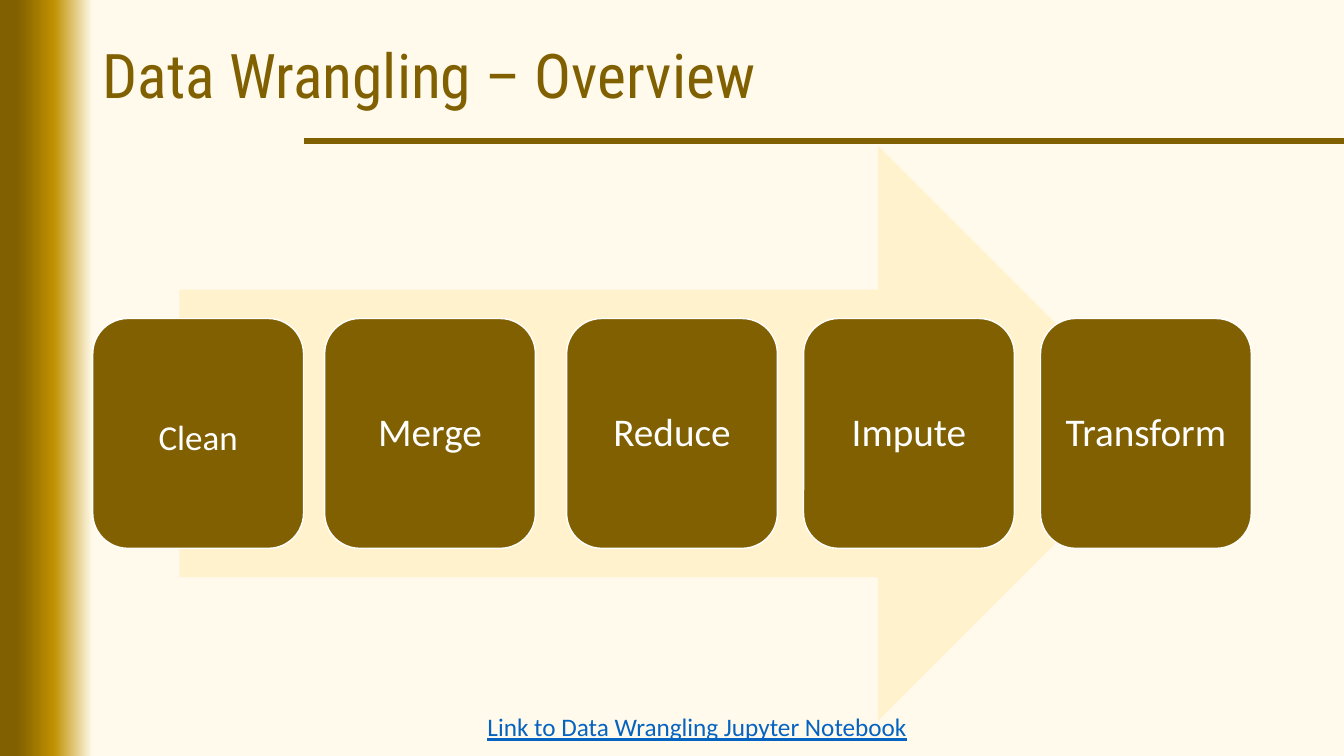
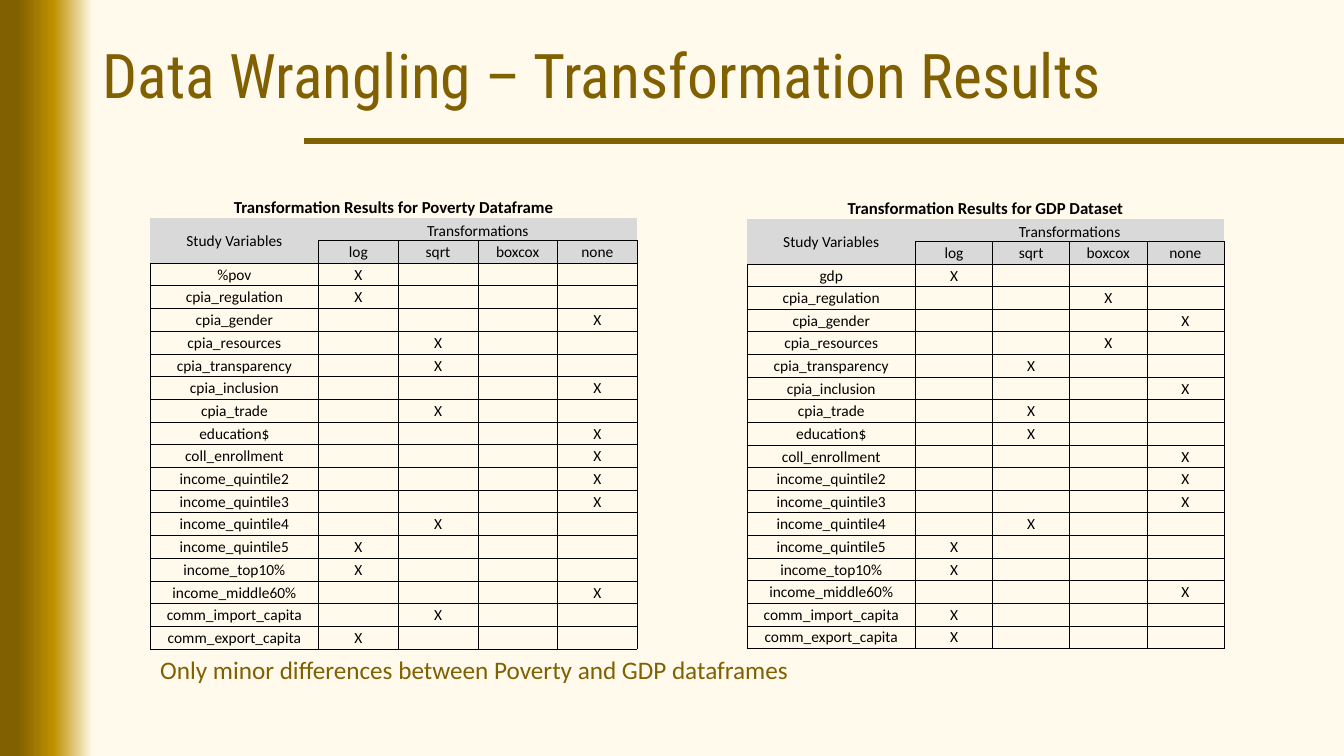
"""Build two data wrangling slides: a process overview and the transformation results."""
from dataclasses import dataclass

from lxml import etree
from pptx import Presentation
from pptx.dml.color import RGBColor
from pptx.enum.shapes import MSO_CONNECTOR, MSO_SHAPE
from pptx.enum.text import MSO_ANCHOR, PP_ALIGN
from pptx.oxml.ns import qn
from pptx.util import Inches, Pt

RECT, ROUNDED, ARROW = MSO_SHAPE.RECTANGLE, MSO_SHAPE.ROUNDED_RECTANGLE, MSO_SHAPE.RIGHT_ARROW
STRAIGHT = MSO_CONNECTOR.STRAIGHT
LEFT, CENTER = PP_ALIGN.LEFT, PP_ALIGN.CENTER
MIDDLE, BOTTOM = MSO_ANCHOR.MIDDLE, MSO_ANCHOR.BOTTOM


@dataclass(frozen=True)
class Theme:
    background: str = "FFFAEB"
    accent: str = "806000"
    gold: str = "BF9000"
    pale: str = "FFF2CC"
    white: str = "FFFFFF"
    black: str = "000000"
    header: str = "D9D9D9"
    link: str = "0563C1"
    title_font: str = "Roboto Condensed"
    body_font: str = "Calibri"
    title_size: float = 44
    note_size: float = 18
    caption_size: float = 12
    cell_size: float = 11


T = Theme()

OVERVIEW_TITLE = "Data Wrangling – Overview"
STEPS = [
    ("Clean", 0.92, 25, 0.12),
    ("Merge", 3.22, 28, 0),
    ("Reduce", 5.62, 28, 0),
    ("Impute", 7.97, 28, 0),
    ("Transform", 10.32, 28, 0),
]
LINK_TEXT = "Link to Data Wrangling Jupyter Notebook"

RESULTS_TITLE = "Data Wrangling – Transformation Results"
METHODS = ["log", "sqrt", "boxcox", "none"]
SHARED_VARIABLES = [
    ("cpia_regulation", "log", "boxcox"),
    ("cpia_gender", "none", "none"),
    ("cpia_resources", "sqrt", "boxcox"),
    ("cpia_transparency", "sqrt", "sqrt"),
    ("cpia_inclusion", "none", "none"),
    ("cpia_trade", "sqrt", "sqrt"),
    ("education$", "none", "sqrt"),
    ("coll_enrollment", "none", "none"),
    ("income_quintile2", "none", "none"),
    ("income_quintile3", "none", "none"),
    ("income_quintile4", "sqrt", "sqrt"),
    ("income_quintile5", "log", "log"),
    ("income_top10%", "log", "log"),
    ("income_middle60%", "none", "none"),
    ("comm_import_capita", "sqrt", "log"),
    ("comm_export_capita", "log", "log"),
]
POVERTY = [("%pov", "log")] + [(name, pov) for name, pov, gdp in SHARED_VARIABLES]
GDP = [("gdp", "log")] + [(name, gdp) for name, pov, gdp in SHARED_VARIABLES]
TABLES = [
    ("Transformation Results for Poverty Dataframe", POVERTY, 1.49, 4.83, 0.23),
    ("Transformation Results for GDP Dataset", GDP, 7.41, 4.73, 0.24),
]
CONCLUSION = "Only minor differences between Poverty and GDP dataframes"


def rgb(color):
    return RGBColor.from_string(color)


def write(tf, text, size, color, align=LEFT, font=T.body_font, bold=False, underline=False):
    tf.text = text
    p = tf.paragraphs[0]
    p.alignment = align
    for r in p.runs:
        r.font.name, r.font.size = font, Pt(size)
        r.font.bold, r.font.underline = bold, underline
        r.font.color.rgb = rgb(color)
    return p


def add_solid(slide, kind, box, fill, line=None):
    sp = slide.shapes.add_shape(kind, *map(Inches, box))
    sp.shadow.inherit = False
    sp.fill.solid()
    sp.fill.fore_color.rgb = rgb(fill)
    if line:
        sp.line.color.rgb = rgb(line)
        sp.line.width = Pt(1)
    else:
        sp.line.fill.background()
    return sp


def add_text(slide, box, text, **style):
    tf = slide.shapes.add_textbox(*map(Inches, box)).text_frame
    tf.word_wrap = True
    write(tf, text, T.note_size, **style)


def decorate_master(prs, slide):
    master = prs.slide_master
    master.background.fill.solid()
    master.background.fill.fore_color.rgb = rgb(T.background)

    band = add_solid(slide, RECT, (0, 0, 0.92, 7.5), T.accent)
    band.fill.gradient()
    band.fill.gradient_angle = 0
    stops = band.element.spPr.find(qn("a:gradFill")).find(qn("a:gsLst"))
    for stop in list(stops):
        stops.remove(stop)
    for percent, color in [(18, T.accent), (58, T.gold), (100, T.background)]:
        stop = etree.SubElement(stops, qn("a:gs"), pos=str(percent * 1000))
        etree.SubElement(stop, qn("a:srgbClr"), val=color)

    rule = slide.shapes.add_connector(STRAIGHT, Inches(3.02), Inches(1.4), Inches(13.33), Inches(1.4))
    rule.line.color.rgb = rgb(T.accent)
    rule.line.width = Pt(4.5)
    etree.SubElement(rule.element.spPr, qn("a:effectLst"))

    for index, sp in enumerate((band, rule), start=2):
        master.shapes.element.insert(index, sp.element)


def add_titled_slide(prs, layout, title):
    slide = prs.slides.add_slide(layout)
    sp = slide.shapes.title
    sp.left, sp.top, sp.width, sp.height = map(Inches, (0.92, 0.32, 11.5, 0.92))
    sp.text_frame.vertical_anchor = MIDDLE
    p = write(sp.text_frame, title, T.title_size, T.accent, font=T.title_font)
    p.line_spacing = 0.9
    return slide


def set_borders(cell, sides):
    props = cell._tc.get_or_add_tcPr()
    for index, side in enumerate("LRTB"):
        ln = etree.Element(qn(f"a:ln{side}"), w=str(Pt(0.5)))
        if side in sides:
            fill = etree.SubElement(ln, qn("a:solidFill"))
            etree.SubElement(fill, qn("a:srgbClr"), val=T.black)
        else:
            etree.SubElement(ln, qn("a:noFill"))
        props.insert(index, ln)


def format_cell(cell, text, row, col):
    cell.margin_left = cell.margin_right = cell.margin_top = Inches(0.01)
    cell.margin_bottom = 0
    cell.vertical_anchor = BOTTOM if row == 0 or (row == 1 and col) else MIDDLE
    size = T.caption_size if row == 0 else T.cell_size
    p = write(cell.text_frame, text, size, T.black, CENTER, bold=row == 0)
    if not text:
        etree.SubElement(p._p, qn("a:endParaRPr"), sz=str(size * 100))
    if row in (1, 2):
        cell.fill.solid()
        cell.fill.fore_color.rgb = rgb(T.header)
    else:
        cell.fill.background()
    if row == 0:
        sides = ""
    elif row == 1 or (row == 2 and col == 0):
        sides = "B"
    else:
        sides = "LRTB"
    set_borders(cell, sides)


def add_results_table(slide, caption, results, left, width, caption_height):
    height, name_width = 4.51, 1.67
    blanks = [""] * len(METHODS)
    grid = [[caption] + blanks, ["Study Variables", "Transformations"] + blanks[1:], [""] + METHODS]
    grid += [[name] + ["X" if m == chosen else "" for m in METHODS] for name, chosen in results]
    box = map(Inches, (left, 1.93, width, height))
    table = slide.shapes.add_table(len(grid), len(grid[0]), *box).table
    table.first_row = table.horz_banding = False
    for i, column in enumerate(table.columns):
        column.width = Inches((width - name_width) / len(METHODS) if i else name_width)
    for i, line in enumerate(table.rows):
        line.height = Inches((height - caption_height) / (len(grid) - 1) if i else caption_height)
    for row, texts in enumerate(grid):
        for col, text in enumerate(texts):
            format_cell(table.cell(row, col), text, row, col)
    for first, last in [((0, 0), (0, 4)), ((1, 0), (2, 0)), ((1, 1), (1, 4))]:
        table.cell(*first).merge(table.cell(*last))


def fill_overview(slide):
    add_solid(slide, ARROW, (1.78, 1.45, 9.78, 5.7), T.pale)
    for name, left, size, drop in STEPS:
        sp = add_solid(slide, ROUNDED, (left, 3.16, 2.09, 2.28), T.accent, T.white)
        tf = sp.text_frame
        tf.word_wrap = True
        tf.vertical_anchor = MIDDLE
        tf.margin_left = tf.margin_right = tf.margin_bottom = Inches(0.12)
        tf.margin_top = Inches(0.12 + drop)
        write(tf, name, size, T.white, CENTER).line_spacing = 0.9
    add_text(slide, (2.23, 7.01, 9.37, 0.4), LINK_TEXT, color=T.link, align=CENTER, underline=True)


def fill_results(slide):
    for table in TABLES:
        add_results_table(slide, *table)
    add_text(slide, (1.49, 6.44, 8.42, 0.4), CONCLUSION, color=T.accent)


def main():
    prs = Presentation()
    prs.slide_width, prs.slide_height = Inches(13.33), Inches(7.5)
    layout = prs.slide_layouts.get_by_name("Title Only")
    overview = add_titled_slide(prs, layout, OVERVIEW_TITLE)
    decorate_master(prs, overview)
    fill_overview(overview)
    fill_results(add_titled_slide(prs, layout, RESULTS_TITLE))
    prs.save("out.pptx")


if __name__ == "__main__":
    main()
